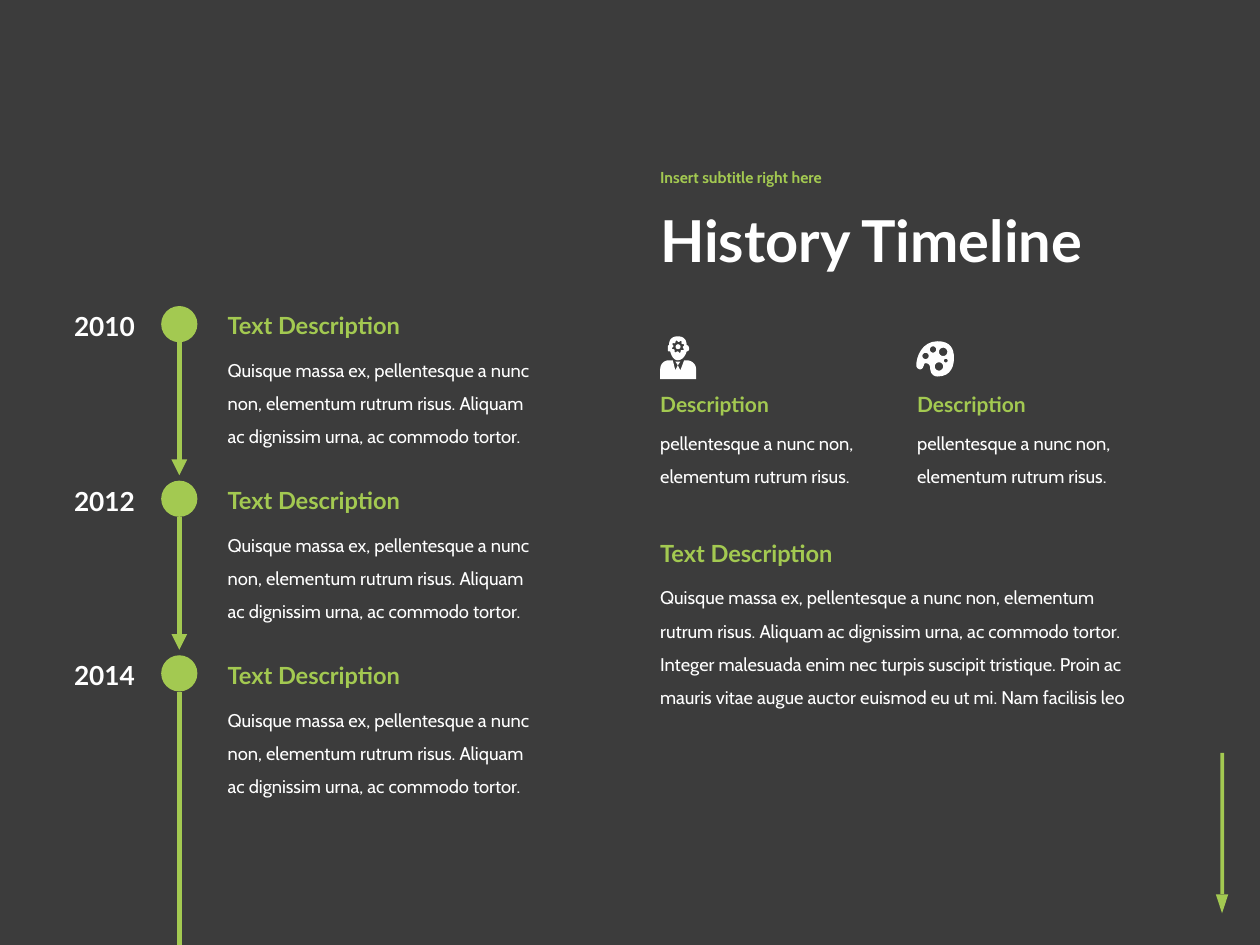
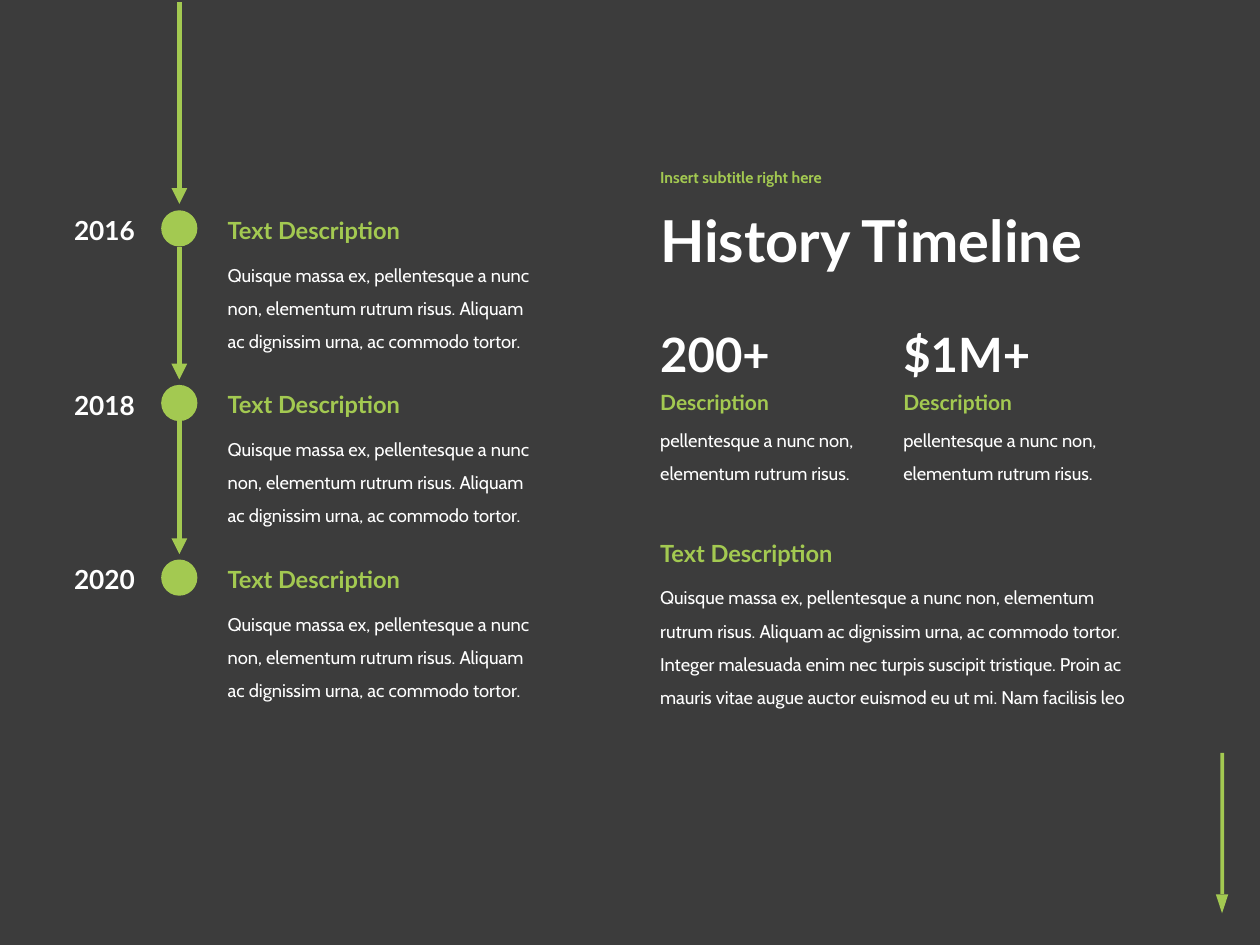
import math
from dataclasses import dataclass

from lxml import etree
from pptx import Presentation
from pptx.dml.color import RGBColor
from pptx.enum import shapes, text
from pptx.oxml import ns
from pptx.util import Cm, Pt


@dataclass(frozen=True)
class Theme:
    dark: RGBColor = RGBColor(0x3C, 0x3C, 0x3C)
    green: RGBColor = RGBColor(0xA3, 0xC9, 0x51)
    white: RGBColor = RGBColor(0xFF, 0xFF, 0xFF)
    heading_font: str = "Lato"
    body_font: str = "Cabin"
    title_size: float = 33
    figure_size: float = 27
    year_size: float = 15
    heading_size: float = 13.5
    column_size: float = 12
    body_size: float = 10.5
    subtitle_size: float = 9


theme = Theme()


def add_text(slide, content, left, top, width, height, size=theme.body_size,
             font=theme.heading_font, color=theme.white, bold=True, spacing=None,
             align=text.PP_ALIGN.LEFT, anchor=text.MSO_ANCHOR.TOP):
    frame = slide.shapes.add_textbox(Cm(left), Cm(top), Cm(width), Cm(height)).text_frame
    frame.word_wrap = True
    frame.vertical_anchor = anchor
    paragraph = frame.paragraphs[0]
    paragraph.text = content
    paragraph.alignment = align
    paragraph.line_spacing = spacing
    paragraph.font.name = font
    paragraph.font.size = Pt(size)
    paragraph.font.bold = bold
    paragraph.font.color.rgb = color


def paint(shape, color):
    shape.shadow.inherit = False
    shape.fill.solid()
    shape.fill.fore_color.rgb = color
    shape.line.fill.background()


body = dict(font=theme.body_font, bold=False, spacing=1.5)
heading = dict(size=theme.heading_size, color=theme.green)
column_heading = dict(size=theme.column_size, color=theme.green)
headline = dict(spacing=0.9, anchor=text.MSO_ANCHOR.MIDDLE)

event_text = ("Quisque massa ex, pellentesque a nunc non, elementum rutrum risus. "
              "Aliquam ac dignissim urna, ac commodo tortor.")
summary_text = ("Quisque massa ex, pellentesque a nunc non, elementum rutrum risus. "
                "Aliquam ac dignissim urna, ac commodo tortor. Integer malesuada enim nec "
                "turpis suscipit tristique. Proin ac mauris vitae augue auctor euismod eu "
                "ut mi. Nam facilisis leo")
column_text = "pellentesque a nunc non, elementum rutrum risus."

right_left = 13.06
dot_left, dot_size = 3.25, 0.73
axis = dot_left + dot_size / 2
row_step, arrow_length = 3.52, 2.68

pages = [
    dict(years=["2010", "2012", "2014"], first_top=6.17, outer_arrow=(13.94, 20.62),
         columns=[13.06, 18.24], column_top=7.77, figures=[]),
    dict(years=["2016", "2018", "2020"], first_top=4.24, outer_arrow=(0.05, 4.11),
         columns=[13.06, 17.96], column_top=7.72, figures=["200+", "$1M+"]),
]

presentation = Presentation()
presentation.slide_width = Cm(25.4)
presentation.slide_height = Cm(19.05)

for page in pages:
    slide = presentation.slides.add_slide(presentation.slide_layouts[6])
    slide.background.fill.solid()
    slide.background.fill.fore_color.rgb = theme.dark

    scroll_arrow = slide.shapes.add_group_shape()
    shaft = scroll_arrow.shapes.add_shape(
        shapes.MSO_SHAPE.RECTANGLE, Cm(24.6), Cm(15.18), Cm(0.08), Cm(2.84))
    head = scroll_arrow.shapes.add_shape(
        shapes.MSO_SHAPE.ISOSCELES_TRIANGLE, Cm(24.51), Cm(18.03), Cm(0.25), Cm(0.38))
    head.rotation = 180
    paint(shaft, theme.green)
    paint(head, theme.green)

    add_text(slide, "History Timeline", right_left, 3.61, 14.3, 2.62,
             size=theme.title_size, **headline)
    add_text(slide, "Insert subtitle right here", right_left, 3.12, 14.3, 0.97,
             size=theme.subtitle_size, font=theme.body_font, color=theme.green, **headline)

    panel = slide.shapes.add_shape(shapes.MSO_SHAPE.RECTANGLE, 0, 0, Cm(12.07), Cm(19.05))
    paint(panel, theme.dark)

    arrows = [page["outer_arrow"]]
    for row, year in enumerate(page["years"]):
        top = page["first_top"] + row * row_step
        dot = slide.shapes.add_shape(
            shapes.MSO_SHAPE.OVAL, Cm(dot_left), Cm(top), Cm(dot_size), Cm(dot_size))
        paint(dot, theme.green)
        add_text(slide, year, 1.09, top - 0.04, 1.88, 0.89,
                 size=theme.year_size, align=text.PP_ALIGN.RIGHT)
        add_text(slide, event_text, 4.34, top + 0.73, 6.6, 2.21, **body)
        add_text(slide, "Text Description", 4.34, top - 0.02, 5.56, 0.84, **heading)
        if row < len(page["years"]) - 1:
            start = top + dot_size
            arrows.append((start, start + arrow_length))

    for start, end in arrows:
        arrow = slide.shapes.add_connector(
            shapes.MSO_CONNECTOR.STRAIGHT, Cm(axis), Cm(start), Cm(axis), Cm(end))
        arrow.line.color.rgb = theme.green
        arrow.line.width = Pt(3)
        properties = arrow.element.spPr
        etree.SubElement(properties.find(ns.qn("a:ln")), ns.qn("a:tailEnd"), type="triangle")
        etree.SubElement(properties, ns.qn("a:effectLst"))

    add_text(slide, summary_text, right_left, 11.48, 10.16, 2.87, **body)
    add_text(slide, "Text Description", right_left, 10.74, 5.56, 0.84, **heading)
    for left in page["columns"]:
        add_text(slide, column_text, left, page["column_top"] + 0.59, 4.8, 1.52, **body)
        add_text(slide, "Description", left, page["column_top"], 3.81, 0.76, **column_heading)
    for left, figure in zip(page["columns"], page["figures"]):
        add_text(slide, figure, left, 6.43, 3.81, 1.42, size=theme.figure_size)

person_left, person_top = 13.31, 6.78
torso = [(21, 19), (19, 19), (16, 27), (14, 23), (16, 20), (12, 20), (14, 23), (12, 27),
         (10, 19), (7, 19), (3, 19, 0, 22, 0, 26), (0, 34), (28.5, 34), (28.5, 26),
         (28.5, 22, 25, 19, 21, 19)]
face = [(21, 7), (21, 2, 18, 0, 14, 0), (10, 0, 7, 2, 7, 7), (6, 7, 6, 8, 6, 10),
        (6, 11, 6, 12, 7, 12), (8, 12), (9, 16, 11, 19, 14, 19), (17, 19, 20, 16, 21, 12),
        (22, 12, 23, 11, 23, 10), (23, 8, 22, 7, 21, 7)]
palette = [(17, 0), (5, 0, 0, 12, 0, 19), (0, 21, 4, 25, 6, 19), (6, 16, 11, 17, 11, 21),
           (11, 25, 13, 28, 17, 28), (28, 28, 30, 19, 30, 13), (30, 7, 28, 0, 17, 0)]
gear_hole = [(14.2, 8.2, 3.8, 5)]
paint_wells = [(7.5, 11.5, 2.5, 2.5), (13.5, 6.5, 2.5, 2.5), (18, 20, 3.3, 3.3),
               (23.5, 15.5, 1.5, 1.5), (21.5, 8.5, 3.3, 3.3)]
icon_parts = [(torso, [], person_left, person_top, 0),
              (face, gear_hole, person_left, person_top, 0),
              (palette, paint_wells, 18.47, 6.88, -0.9)]

icon_slide = presentation.slides[0]
for outline, holes, left, top, rotation in icon_parts:
    points = []
    for segment in outline:
        if len(segment) == 2:
            points.append(segment)
            continue
        x0, y0 = points[-1]
        x1, y1, x2, y2, x3, y3 = segment
        for step in range(1, 9):
            t = step / 8
            a, b, c, d = (1 - t) ** 3, 3 * t * (1 - t) ** 2, 3 * t * t * (1 - t), t ** 3
            points.append((a * x0 + b * x1 + c * x2 + d * x3,
                           a * y0 + b * y1 + c * y2 + d * y3))
    contours = [points]
    for x, y, inner, outer in holes:
        ring = []
        for step in range(32):
            radius = outer if step // 2 % 2 else inner
            angle = 2 * math.pi * step / 32
            ring.append((x + radius * math.cos(angle), y + radius * math.sin(angle)))
        contours.append(ring)

    scaled = [[(x * 100, y * 100) for x, y in contour] for contour in contours]
    builder = icon_slide.shapes.build_freeform(*scaled[0][0], scale=Cm(0.0254) / 100)
    builder.add_line_segments(scaled[0][1:])
    for ring in scaled[1:]:
        builder.move_to(*ring[0])
        builder.add_line_segments(ring[1:])
    icon = builder.convert_to_shape(Cm(left), Cm(top))
    icon.rotation = rotation
    paint(icon, theme.white)

gear_centre = icon_slide.shapes.add_shape(
    shapes.MSO_SHAPE.OVAL, Cm(13.62), Cm(6.94), Cm(0.1), Cm(0.1))
paint(gear_centre, theme.white)

presentation.save("out.pptx")
